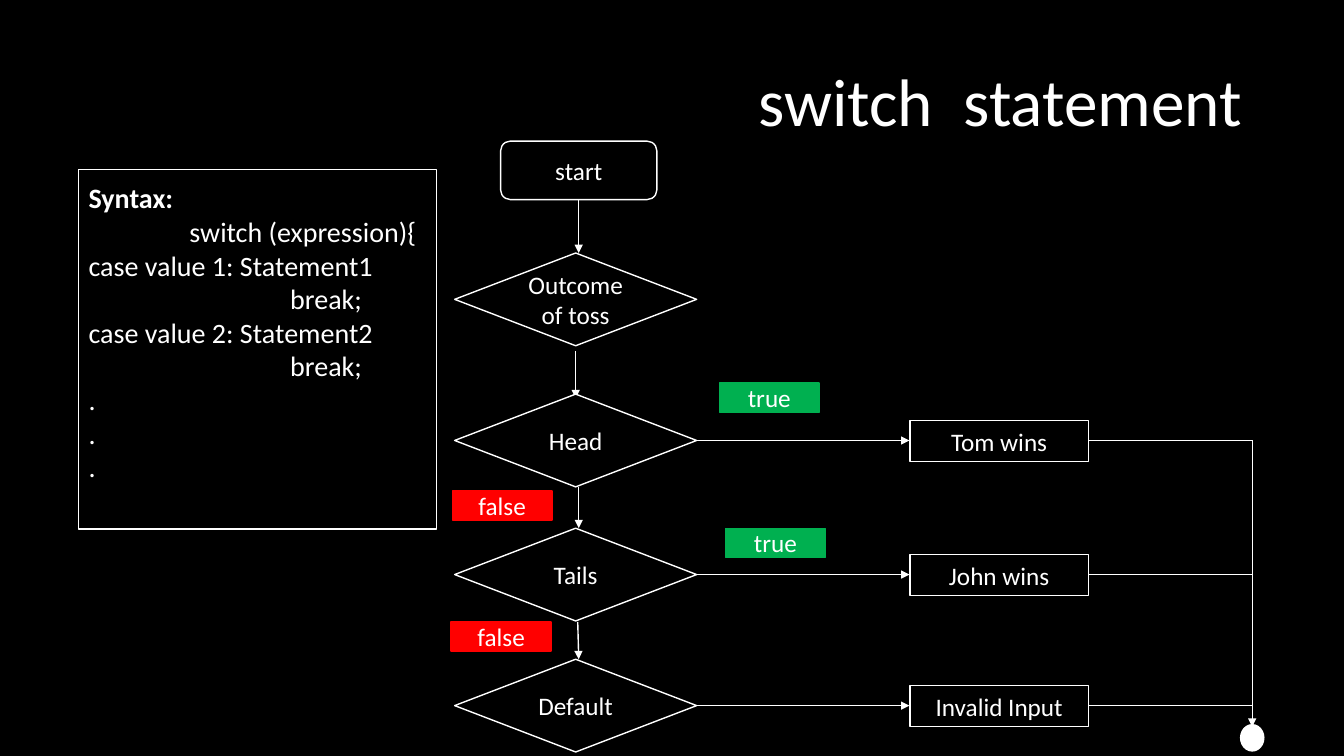
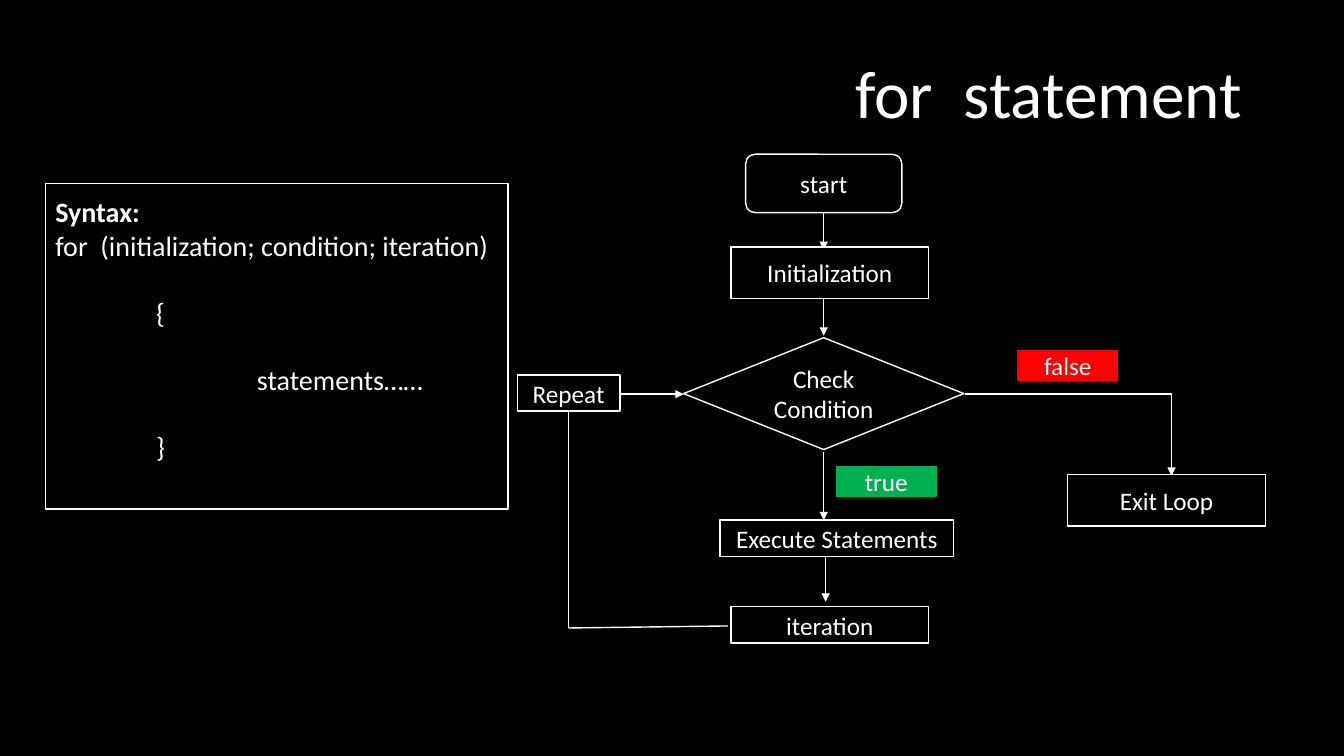
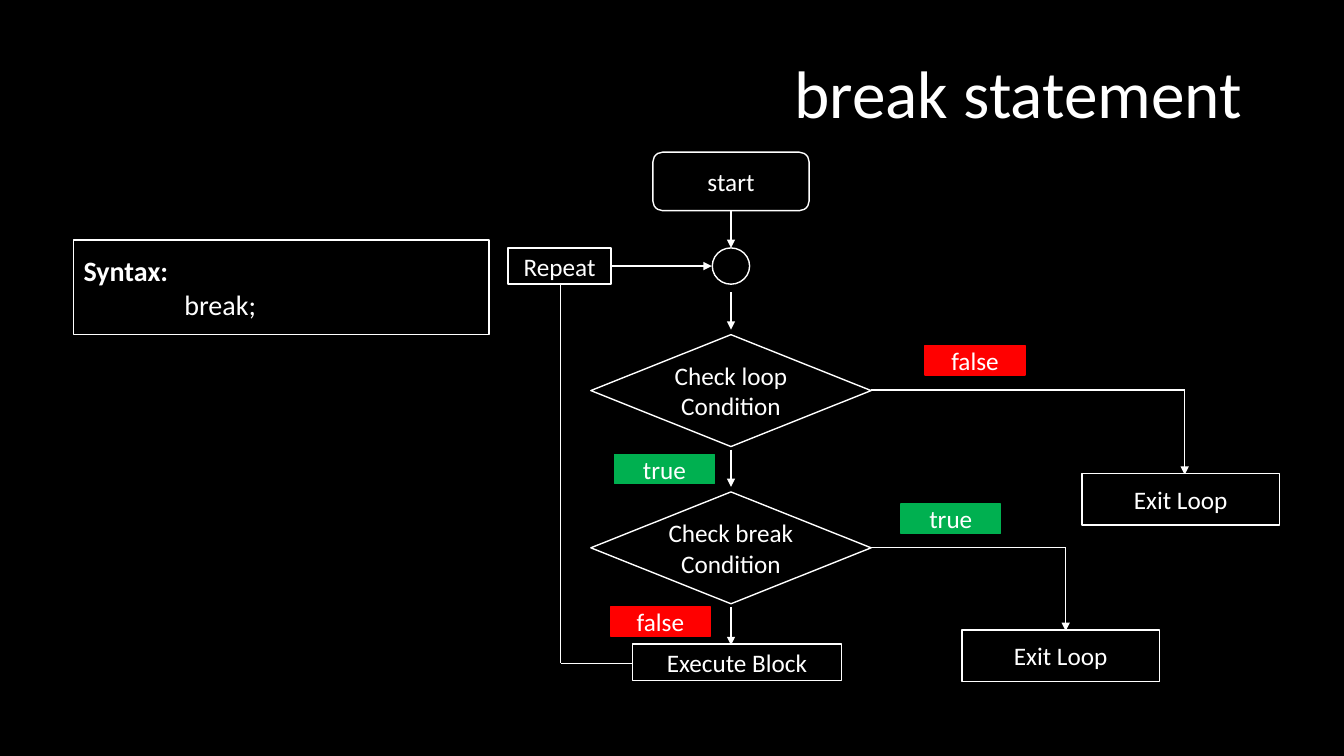
"""Three flowchart slides on the switch, for and break statements."""
from lxml import etree
from pptx import Presentation
from pptx.dml.color import RGBColor
from pptx.enum.shapes import MSO_CONNECTOR, MSO_SHAPE
from pptx.enum.text import MSO_ANCHOR, PP_ALIGN
from pptx.oxml.ns import qn
from pptx.util import Inches, Pt

LEFT, CENTER, RIGHT = PP_ALIGN.LEFT, PP_ALIGN.CENTER, PP_ALIGN.RIGHT
MIDDLE = MSO_ANCHOR.MIDDLE
STRAIGHT = MSO_CONNECTOR.STRAIGHT
RECT, ROUND, OVAL = MSO_SHAPE.RECTANGLE, MSO_SHAPE.ROUNDED_RECTANGLE, MSO_SHAPE.OVAL
DECISION = MSO_SHAPE.FLOWCHART_DECISION

FONT = "Calibri"
COLORS = {"black": "000000", "white": "FFFFFF", "green": "00B050", "red": "FF0000"}
TITLE_LEFT, TITLE_TOP, TITLE_WIDTH = 0.92, 0.4, 11.5

KINDS = {
    "start": {"outline": ROUND, "size": (1.55, 0.58)},
    "case": {"outline": DECISION, "size": (2.4, 0.92)},
    "check": {"outline": DECISION, "size": (2.78, 1.11), "margin": 0},
    "result": {"size": (1.77, 0.41)},
    "step": {"size": (1.96, 0.51)},
    "iteration": {"size": (1.96, 0.36)},
    "statements": {"size": (2.32, 0.36)},
    "block": {"size": (2.07, 0.36)},
    "repeat": {"size": (1.02, 0.36)},
    "true": {"size": (0.99, 0.29), "fill": "green", "line": "green"},
    "false": {"size": (0.99, 0.29), "fill": "red", "line": "red"},
    "join": {"outline": OVAL, "size": (0.37, 0.36)},
    "end": {"outline": OVAL, "size": (0.23, 0.26), "fill": "white"},
}

CASES = [("Head", "Tom wins", 4.37), ("Tails", "John wins", 5.7), ("Default", "Invalid Input", 7)]
CASE_X, RESULT_X, END_X = 5.71, 9.91, 12.42

SLIDES = [
    {
        "title": "switch  statement", "title_height": 1.28,
        "syntax_box": (0.78, 1.68, 3.55, 3.57), "syntax_bottom": 0.39,
        "syntax": [("Syntax:", 0, 0), ("switch (expression){", 1, 0),
                   ("case value 1: Statement1", 0, 0), ("break;", 2, 0),
                   ("case value 2: Statement2", 0, 0), ("break;", 2, 0),
                   (".", 0, 0), (".", 0, 0), (".", 0, 0)],
        "nodes": [("start", "start", 5.74, 1.4), ("case", "Outcome of toss", CASE_X, 2.51),
                  *[("case", case, CASE_X, y - 0.46) for case, _, y in CASES],
                  *[("result", result, RESULT_X, y - 0.2) for _, result, y in CASES],
                  ("true", "true", 7.63, 3.8), ("true", "true", 7.69, 5.24),
                  ("false", "false", 4.98, 4.87), ("false", "false", 4.97, 6.17),
                  ("end", "", END_X, 7.19)],
        "paths": [([(5.74, 1.98), (5.74, 2.51)], True), ([(5.71, 3.48), (5.71, 3.95)], True),
                  ([(5.74, 4.83), (5.74, 5.24)], True), ([(5.73, 6.17), (5.74, 6.54)], True),
                  *[([(6.91, y), (9.02, y)], True) for _, _, y in CASES],
                  *[([(10.8, y), (END_X, y)], False) for _, _, y in CASES],
                  ([(END_X, 4.37), (END_X, 7.21)], True)],
    },
    {
        "title": "for  statement", "title_height": 1.11,
        "syntax_box": (0.45, 1.82, 4.59, 3.23), "syntax_bottom": 0.39,
        "syntax": [("Syntax:", 0, 0), ("for  (initialization; condition; iteration)", 0, 0),
                   ("{", 1, 24), ("statements……", 2, 24), ("}", 1, 24)],
        "nodes": [("start", "start", 8.17, 1.53), ("step", "Initialization", 8.23, 2.45),
                  ("check", "Check Condition", 8.17, 3.35), ("step", "Exit Loop", 11.57, 4.71),
                  ("statements", "Execute Statements", 8.3, 5.16),
                  ("iteration", "iteration", 8.23, 6.02), ("repeat", "Repeat", 5.64, 3.72),
                  ("false", "false", 10.59, 3.48), ("true", "true", 8.79, 4.63)],
        "paths": [([(8.17, 2.11), (8.17, 2.48)], True), ([(8.17, 2.96), (8.17, 3.33)], True),
                  ([(8.17, 4.48), (8.17, 5.16)], True), ([(8.19, 5.53), (8.19, 5.97)], True),
                  ([(9.57, 3.91), (11.62, 3.91), (11.62, 4.72)], True),
                  ([(6.15, 3.91), (6.78, 3.91)], True),
                  ([(7.22, 6.21), (5.64, 6.23), (5.64, 4.09)], False)],
    },
    {
        "title": "break statement", "title_height": 1.11,
        "syntax_box": (0.73, 2.38, 4.12, 0.94), "syntax_bottom": 0.05,
        "syntax": [("Syntax:", 0, 0), ("break;", 1, 0)],
        "nodes": [("start", "start", 7.25, 1.51), ("join", "", 7.25, 2.46),
                  ("check", "Check loop Condition", 7.25, 3.32),
                  ("check", "Check break Condition", 7.25, 4.88),
                  ("block", "Execute Block", 7.31, 6.39), ("repeat", "Repeat", 5.55, 2.46),
                  ("step", "Exit Loop", 11.71, 4.7), ("step", "Exit Loop", 10.52, 6.25),
                  ("true", "true", 6.59, 4.51), ("true", "true", 9.43, 5),
                  ("false", "false", 9.67, 3.43), ("false", "false", 6.55, 6.02)],
        "paths": [([(7.25, 2.09), (7.25, 2.46)], True), ([(7.25, 2.9), (7.25, 3.27)], True),
                  ([(7.25, 4.46), (7.25, 4.83)], True), ([(7.25, 6.02), (7.25, 6.4)], True),
                  ([(8.64, 3.87), (11.75, 3.87), (11.75, 4.71)], True),
                  ([(8.64, 5.43), (10.57, 5.43), (10.57, 6.26)], True),
                  ([(6.07, 2.64), (7.06, 2.64)], True),
                  ([(6.28, 6.58), (5.56, 6.58), (5.56, 2.83)], False)],
    },
]


def color(name):
    return RGBColor.from_string(COLORS[name])


def write(p, text, size=18, bold=False, align=CENTER, indent=0, before=0):
    p.alignment = align
    p.space_before = Pt(before)
    if indent:
        p._p.get_or_add_pPr().set("marL", str(Inches(indent)))
    r = p.add_run()
    r.text = text
    r.font.name, r.font.size, r.font.bold = FONT, Pt(size), bold
    r.font.color.rgb = color("white")


def add_box(s, box, outline=RECT, fill="black", line="white", margin=0.1):
    sp = s.shapes.add_shape(outline, *map(Inches, box))
    sp.shadow.inherit = False
    sp.fill.solid()
    sp.fill.fore_color.rgb = color(fill)
    sp.line.color.rgb = color(line)
    sp.line.width = Pt(1)
    tf = sp.text_frame
    tf.word_wrap = True
    tf.vertical_anchor = MIDDLE
    tf.margin_left = tf.margin_right = Inches(margin)
    return tf


def add_title(s, text, height):
    sp = s.shapes.title
    sp.left, sp.top = Inches(TITLE_LEFT), Inches(TITLE_TOP)
    sp.width, sp.height = Inches(TITLE_WIDTH), Inches(height)
    sp.text_frame.vertical_anchor = MIDDLE
    p = sp.text_frame.paragraphs[0]
    p.line_spacing = 0.9
    write(p, text, size=48, align=RIGHT)


def add_syntax(s, box, lines, bottom):
    tf = add_box(s, box)
    tf.margin_bottom = Inches(bottom)
    for i, (text, indent, before) in enumerate(lines):
        p = tf.add_paragraph() if i else tf.paragraphs[0]
        write(p, text, size=20, bold=i == 0, align=LEFT, indent=indent, before=before)


def add_node(s, kind, text, center_x, top):
    style = dict(KINDS[kind])
    width, height = style.pop("size")
    tf = add_box(s, (center_x - width / 2, top, width, height), **style)
    if text:
        write(tf.paragraphs[0], text)


def add_path(s, points, arrow):
    for i, (start, end) in enumerate(zip(points, points[1:]), 2):
        c = s.shapes.add_connector(STRAIGHT, *map(Inches, start + end))
        c.line.color.rgb = color("white")
        c.line.width = Pt(1)
        spPr = c._element.spPr
        if arrow and i == len(points):
            etree.SubElement(spPr.find(qn("a:ln")), qn("a:tailEnd"), type="triangle")
        etree.SubElement(spPr, qn("a:effectLst"))


def main():
    prs = Presentation()
    prs.slide_width, prs.slide_height = Inches(13.33), Inches(7.5)
    background = prs.slide_master.background.fill
    background.solid()
    background.fore_color.rgb = color("black")
    for data in SLIDES:
        s = prs.slides.add_slide(prs.slide_layouts[5])
        add_title(s, data["title"], data["title_height"])
        add_syntax(s, data["syntax_box"], data["syntax"], data["syntax_bottom"])
        for points, arrow in data["paths"]:
            add_path(s, points, arrow)
        for node in data["nodes"]:
            add_node(s, *node)
    prs.save("out.pptx")


if __name__ == "__main__":
    main()
